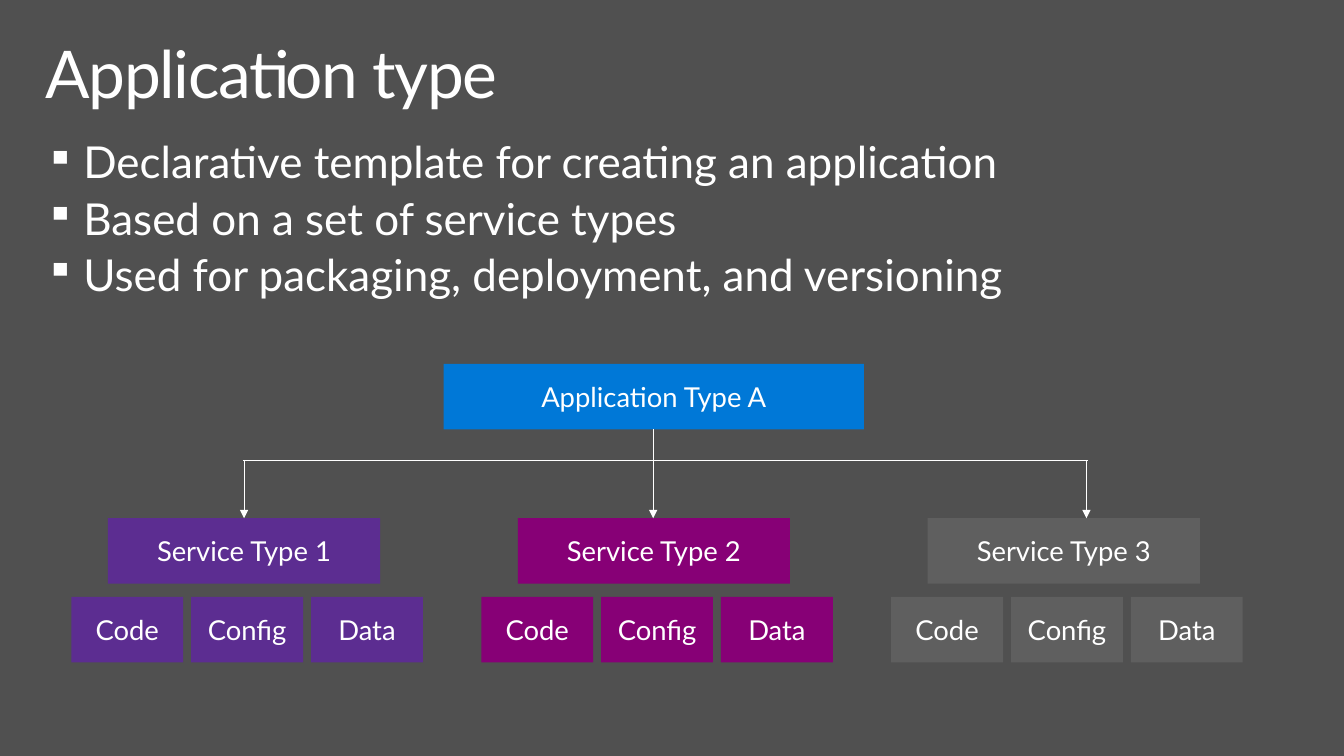
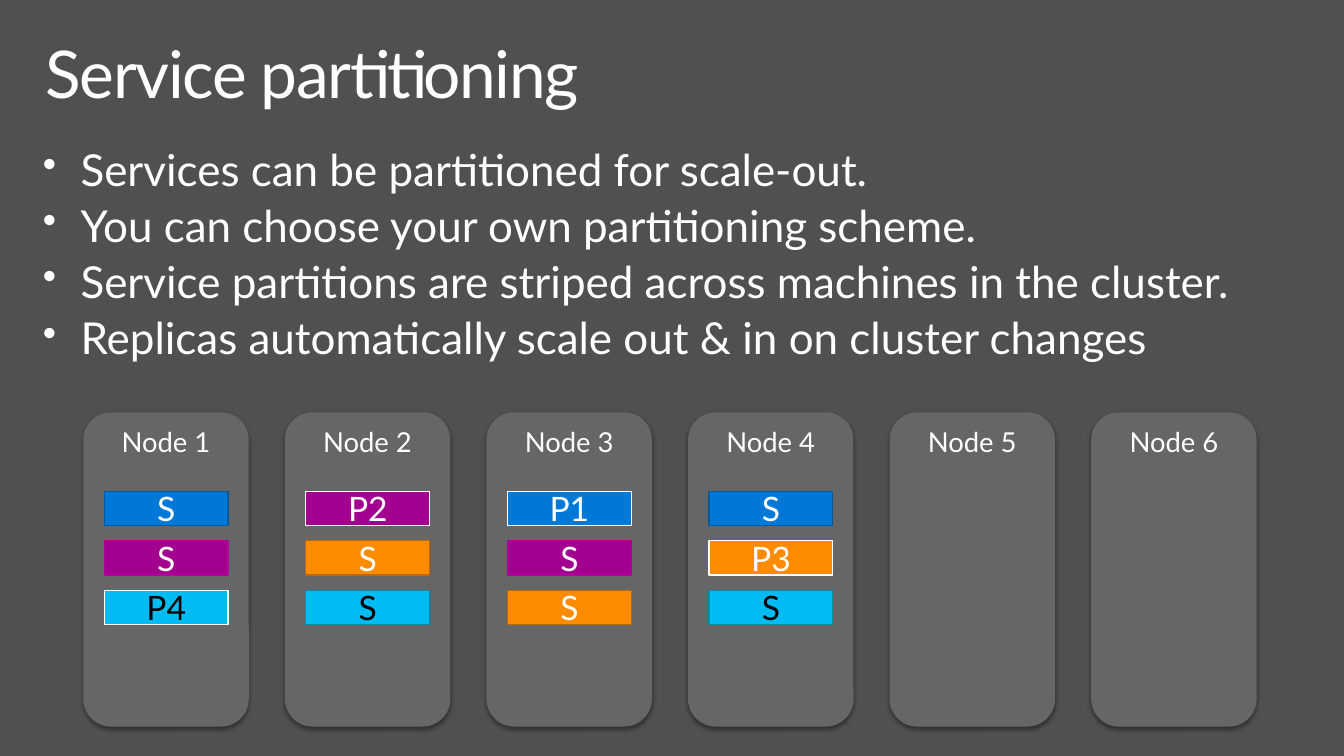
"""Build two slides on application types and service partitioning."""
import pptx
import pptx.dml.color
import pptx.enum.shapes
import pptx.enum.text
import pptx.oxml.ns
import pptx.util
from lxml import etree

Cm = pptx.util.Cm
Pt = pptx.util.Pt
RGBColor = pptx.dml.color.RGBColor
MSO_SHAPE = pptx.enum.shapes.MSO_SHAPE
MSO_ANCHOR = pptx.enum.text.MSO_ANCHOR
PP_ALIGN = pptx.enum.text.PP_ALIGN
qn = pptx.oxml.ns.qn

FONT = "Lato"
WHITE = RGBColor(0xFF, 0xFF, 0xFF)
BLACK = RGBColor(0x00, 0x00, 0x00)
BACKGROUND = RGBColor(0x50, 0x50, 0x50)
BLUE = RGBColor(0x00, 0x78, 0xD7)
DARK_BLUE = RGBColor(0x00, 0x59, 0x9F)
PURPLE = RGBColor(0x5C, 0x2D, 0x91)
PLUM = RGBColor(0x87, 0x00, 0x76)
GRAY = RGBColor(0x5F, 0x5F, 0x5F)
NODE_GRAY = RGBColor(0x66, 0x66, 0x66)
MAGENTA = RGBColor(0xA3, 0x00, 0x8F)
LIGHT_MAGENTA = RGBColor(0xB4, 0x00, 0x9E)
ORANGE = RGBColor(0xFF, 0x8C, 0x00)
DARK_ORANGE = RGBColor(0xBD, 0x68, 0x00)
CYAN = RGBColor(0x00, 0xBC, 0xF2)
DARK_CYAN = RGBColor(0x00, 0x8B, 0xB3)


def add_text(s, x, y, w, h, lines, size, bullet=None, spacing=0):
    """Add a text box with one paragraph per line."""
    tf = s.shapes.add_textbox(Cm(x), Cm(y), Cm(w), Cm(h)).text_frame
    tf.word_wrap = True
    tf.margin_left = tf.margin_right = Cm(0.41)
    tf.margin_top = tf.margin_bottom = Cm(0.25)
    for i, line in enumerate(lines):
        p = tf.add_paragraph() if i else tf.paragraphs[0]
        p.line_spacing = 0.9
        if i:
            p.space_before = Pt(6.2)
        if bullet:
            pPr = p._p.get_or_add_pPr()
            pPr.set("marL", str(Cm(0.95)))
            pPr.set("indent", str(-Cm(0.95)))
            etree.SubElement(pPr, qn("a:buSzPct"), val="90000")
            etree.SubElement(pPr, qn("a:buChar"), char=bullet)
        r = p.add_run()
        r.text = line
        r.font.name = FONT
        r.font.size = Pt(size)
        r.font.color.rgb = WHITE
        if spacing:
            r._r.get_or_add_rPr().set("spc", str(spacing))


def add_box(s, x, y, w, h, text, fill, size=19.6, color=WHITE, line=None,
            preset=MSO_SHAPE.RECTANGLE, anchor=MSO_ANCHOR.MIDDLE):
    """Add a filled shape with one centred line of text."""
    sp = s.shapes.add_shape(preset, Cm(x), Cm(y), Cm(w), Cm(h))
    sp.shadow.inherit = False
    sp.fill.solid()
    sp.fill.fore_color.rgb = fill
    if line is None:
        sp.line.fill.background()
    else:
        sp.line.color.rgb = line
        sp.line.width = Pt(0.85)
    tf = sp.text_frame
    tf.vertical_anchor = anchor
    p = tf.paragraphs[0]
    p.alignment = PP_ALIGN.CENTER
    r = p.add_run()
    r.text = text
    r.font.name = FONT
    r.font.size = Pt(size)
    r.font.color.rgb = color
    return sp


prs = pptx.Presentation()
prs.slide_width = Cm(33.87)
prs.slide_height = Cm(19.05)
master_fill = prs.slide_master.background.fill
master_fill.solid()
master_fill.fore_color.rgb = BACKGROUND

slides = []
for title, x, y, bullet, lines in [
    ("Application type", 0.74, 3.3, "▪", [
        "Declarative template for creating an application",
        "Based on a set of service types",
        "Used for packaging, deployment, and versioning",
    ]),
    ("Service partitioning", 0.67, 3.48, "•", [
        "Services can be partitioned for scale-out.",
        "You can choose your own partitioning scheme.",
        "Service partitions are striped across machines in the cluster.",
        "Replicas automatically scale out & in on cluster changes",
    ]),
]:
    s = prs.slides.add_slide(prs.slide_layouts[6])
    add_text(s, 0.74, 0.81, 32.38, 2.49, [title], 47, spacing=-100)
    add_text(s, x, y, 32.38, 1.4 * len(lines) + 0.5, lines, 31.4, bullet)
    slides.append(s)
type_slide, node_slide = slides

add_box(type_slide, 11.18, 9.17, 10.59, 1.65, "Application Type A", BLUE)
for i, fill in enumerate([PURPLE, PLUM, GRAY]):
    left = 1.8 + 10.33 * i
    add_box(type_slide, left + 0.92, 13.06, 6.86, 1.65, f"Service Type {i + 1}", fill)
    for j, part in enumerate(["Code", "Config", "Data"]):
        add_box(type_slide, left + 3.02 * j, 15.04, 2.82, 1.65, part, fill)

for x1, y1, x2, y2, arrow in [
    (6.12, 11.61, 27.41, 11.61, False),
    (16.46, 10.82, 16.46, 11.61, False),
    (6.15, 11.61, 6.15, 13.06, True),
    (16.46, 11.61, 16.46, 13.06, True),
    (27.38, 11.61, 27.38, 13.06, True),
]:
    cxn = type_slide.shapes.add_connector(
        pptx.enum.shapes.MSO_CONNECTOR.STRAIGHT, Cm(x1), Cm(y1), Cm(x2), Cm(y2))
    cxn.line.color.rgb = WHITE
    cxn.line.width = Pt(0.75)
    if arrow:
        etree.SubElement(cxn.line._get_or_add_ln(), qn("a:tailEnd"), type="triangle")
    etree.SubElement(cxn._element.spPr, qn("a:effectLst"))

partition_styles = {
    1: (BLUE, DARK_BLUE, WHITE),
    2: (MAGENTA, LIGHT_MAGENTA, WHITE),
    3: (ORANGE, DARK_ORANGE, WHITE),
    4: (CYAN, DARK_CYAN, BLACK),
}
node_partitions = [(1, 2, 4), (2, 3, 4), (1, 2, 3), (1, 3, 4), (), ()]
primary_nodes = {1: 3, 2: 2, 3: 4, 4: 1}

for node, partitions in enumerate(node_partitions, 1):
    left = 2.1 + 5.08 * (node - 1)
    sp = add_box(node_slide, left, 10.39, 4.17, 7.92, f"Node {node}", NODE_GRAY,
                 preset=MSO_SHAPE.ROUNDED_RECTANGLE, anchor=MSO_ANCHOR.TOP)
    effects = sp._element.spPr.find(qn("a:effectLst"))
    shadow = etree.SubElement(effects, qn("a:outerShdw"), blurRad=str(Pt(3)),
                              dist=str(Pt(2)), dir="5400000", rotWithShape="0")
    shadow_color = etree.SubElement(shadow, qn("a:srgbClr"), val=str(BLACK))
    etree.SubElement(shadow_color, qn("a:alpha"), val="40000")
    for row, partition in enumerate(partitions):
        fill, line, color = partition_styles[partition]
        primary = primary_nodes[partition] == node
        add_box(node_slide, left + 0.53, 12.38 + 1.25 * row, 3.12, 0.86,
                f"P{partition}" if primary else "S", fill, 24, color,
                WHITE if primary else line)

prs.save("out.pptx")
